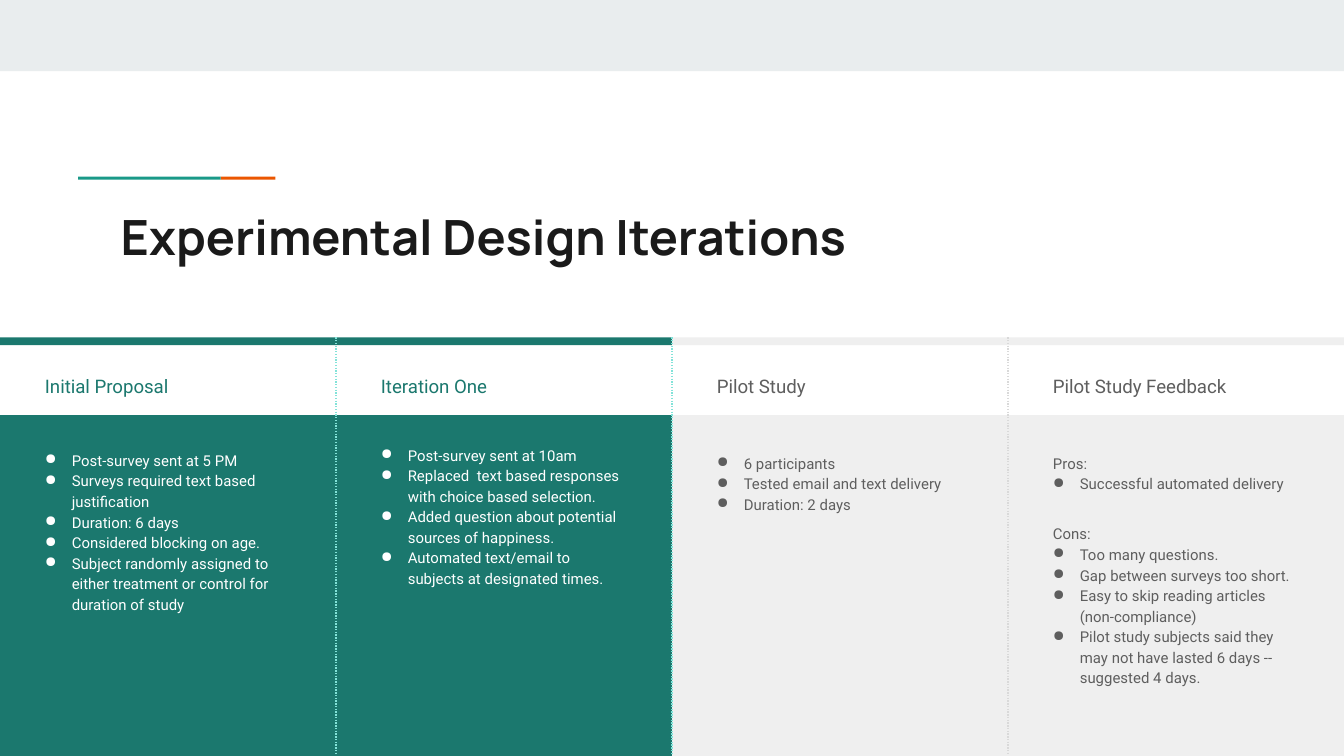
from collections import namedtuple
from dataclasses import dataclass

from lxml.etree import SubElement
from pptx import Presentation
from pptx.dml.color import RGBColor as RGB
from pptx.enum.dml import MSO_LINE as Dash
from pptx.enum.shapes import MSO_CONNECTOR as Connector, MSO_SHAPE as Shape
from pptx.oxml.ns import qn
from pptx.util import Pt

Style = namedtuple("Style", "panel heading body divider")
Column = namedtuple("Column", "heading style heading_width body_top body_height sections")

TITLE = "Experimental Design Iterations"
COLUMNS = [
    Column("Initial Proposal", "active", 97.2, 233.3, 151.9, [
        (None, ["Post-survey sent at 5 PM",
                "Surveys required text based justification",
                "Duration: 6 days",
                "Considered blocking on age.",
                "Subject randomly assigned to either treatment or control for duration of study"]),
    ]),
    Column("Iteration One", "active", 97.2, 230.4, 158.4, [
        (None, ["Post-survey sent at 10am",
                "Replaced  text based responses with choice based selection.",
                "Added question about potential sources of happiness.",
                "Automated text/email to subjects at designated times."]),
    ]),
    Column("Pilot Study", "muted", 125, 234.7, 150.5, [
        (None, ["6 participants",
                "Tested email and text delivery",
                "Duration: 2 days"]),
    ]),
    Column("Pilot Study Feedback", "muted", 125, 234.7, 204.5, [
        ("Pros:", ["Successful automated delivery"]),
        ("Cons:", ["Too many questions.",
                   "Gap between surveys too short.",
                   "Easy to skip reading articles (non-compliance)",
                   "Pilot study subjects said they may not have lasted 6 days -- suggested 4 days."]),
    ]),
]


@dataclass(frozen=True)
class Theme:
    band: str = "E9EDEE"
    teal: str = "1A9988"
    orange: str = "EB5600"
    title: str = "1A1A1A"
    active: Style = Style("1B786E", "1B786E", "FFFFFF", "83E3D9")
    muted: Style = Style("EFEFEF", "5E5E5E", "5E5E5E", "D9D9D9")
    title_font: str = "Manrope"
    body_font: str = "Roboto"
    title_size: float = 26
    heading_size: float = 10
    body_size: float = 8
    line_spacing: float = 1.15


THEME = Theme()
WIDTH, HEIGHT = 720, 405
COLUMN_WIDTH = WIDTH / len(COLUMNS)
STRIP_TOP, STRIP_HEIGHT, PANEL_TOP = 180.7, 4.3, 222.4
INSET, TEXT_OFFSET, BODY_WIDTH, BULLET_INDENT, SECTION_GAP = 7.2, 17, 146.2, 14.4, 16


def add_bar(slide, left, top, width, height, color):
    bar = slide.shapes.add_shape(Shape.RECTANGLE, Pt(left), Pt(top), Pt(width), Pt(height))
    bar.shadow.inherit = False
    bar.fill.solid()
    bar.fill.fore_color.rgb = RGB.from_string(color)
    bar.line.fill.background()


def add_text(slide, left, top, width, height, lines, font, size, color, bold=False):
    frame = slide.shapes.add_textbox(Pt(left), Pt(top), Pt(width), Pt(height)).text_frame
    frame.word_wrap = True
    frame.margin_left = frame.margin_right = frame.margin_top = frame.margin_bottom = Pt(INSET)
    frame.text = "\n".join(lines)
    for paragraph in frame.paragraphs:
        for run in paragraph.runs:
            run.font.name, run.font.size, run.font.bold = font, Pt(size), bold
            run.font.color.rgb = RGB.from_string(color)
    return frame.paragraphs


def add_bullet(paragraph, color):
    props = paragraph._p.get_or_add_pPr()
    props.set("marL", str(Pt(BULLET_INDENT)))
    props.set("indent", str(-Pt(BULLET_INDENT)))
    SubElement(SubElement(props, qn("a:buClr")), qn("a:srgbClr"), val=color)
    SubElement(props, qn("a:buChar"), char="●")


def add_divider(slide, x, color):
    divider = slide.shapes.add_connector(Connector.STRAIGHT, Pt(x), Pt(STRIP_TOP), Pt(x), Pt(404))
    divider.line.color.rgb = RGB.from_string(color)
    divider.line.width = Pt(0.75)
    divider.line.dash_style = Dash.ROUND_DOT
    SubElement(divider._element.spPr, qn("a:effectLst"))


def add_column(slide, index, column):
    style = getattr(THEME, column.style)
    left = index * COLUMN_WIDTH
    add_bar(slide, left, PANEL_TOP, COLUMN_WIDTH, HEIGHT - PANEL_TOP, style.panel)
    add_bar(slide, left, STRIP_TOP, COLUMN_WIDTH, STRIP_HEIGHT, style.panel)

    text_left = left + TEXT_OFFSET
    heading, = add_text(slide, text_left, 192.2, column.heading_width, 20.2, [column.heading],
                        THEME.body_font, THEME.heading_size, style.heading)
    heading.line_spacing = THEME.line_spacing

    rows = []
    for label, items in column.sections:
        rows += [(label, False)] if label else []
        rows += [(item, True) for item in items]
    paragraphs = add_text(slide, text_left, column.body_top, BODY_WIDTH, column.body_height,
                          [row for row, _ in rows], THEME.body_font, THEME.body_size, style.body)
    for position, (paragraph, (_, bulleted)) in enumerate(zip(paragraphs, rows)):
        paragraph.line_spacing = THEME.line_spacing
        if bulleted:
            add_bullet(paragraph, style.body)
        elif position:
            paragraph.space_before = Pt(SECTION_GAP)

    if index < len(COLUMNS) - 1:
        add_divider(slide, left + COLUMN_WIDTH, style.divider)


def main():
    """Build the experimental design iterations slide."""
    deck = Presentation()
    deck.slide_width, deck.slide_height = Pt(WIDTH), Pt(HEIGHT)
    slide = deck.slides.add_slide(deck.slide_layouts[6])
    add_bar(slide, 0, 0, WIDTH, 38.2, THEME.band)
    add_bar(slide, 118.2, 94.7, 29.3, 1.6, THEME.orange)
    add_bar(slide, 41.8, 94.7, 76.4, 1.6, THEME.teal)
    add_text(slide, 57.6, 103.7, 605.5, 42.5, [TITLE],
             THEME.title_font, THEME.title_size, THEME.title, bold=True)
    for index, column in reversed(list(enumerate(COLUMNS))):
        add_column(slide, index, column)
    deck.save("out.pptx")


if __name__ == "__main__":
    main()
